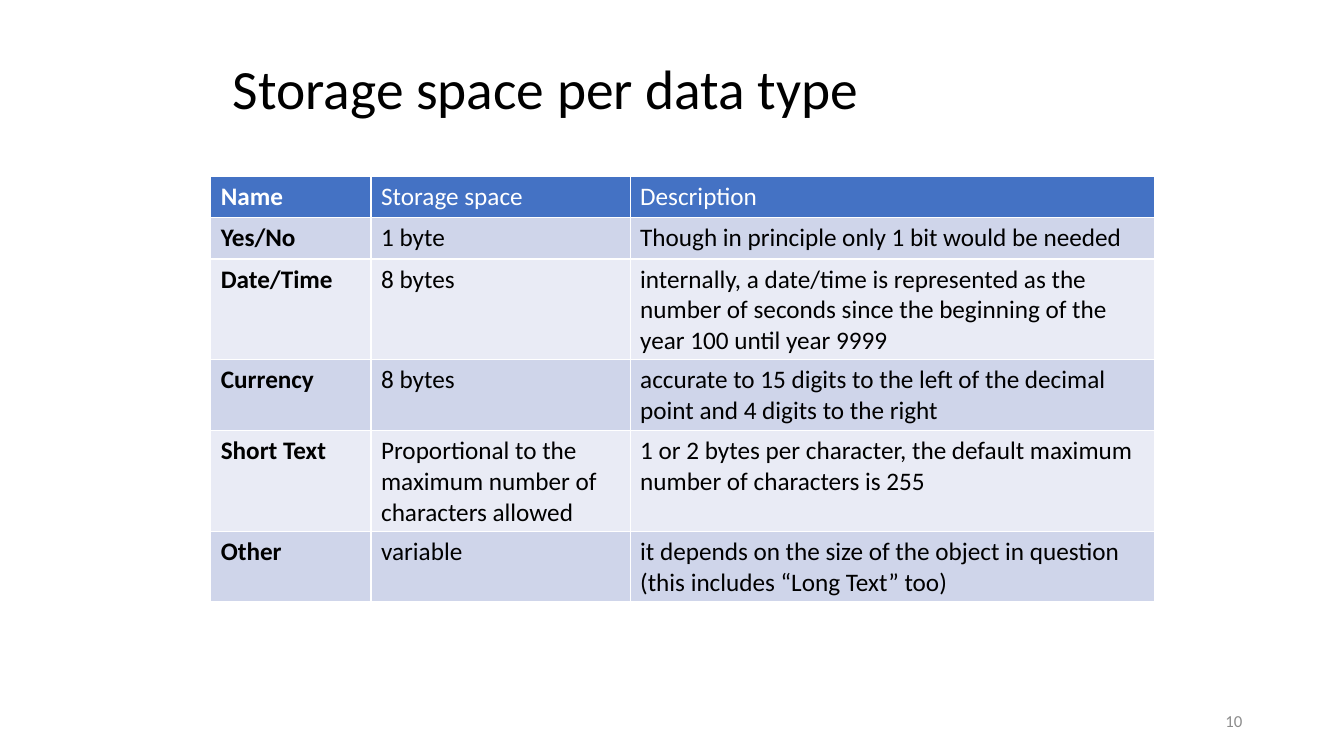
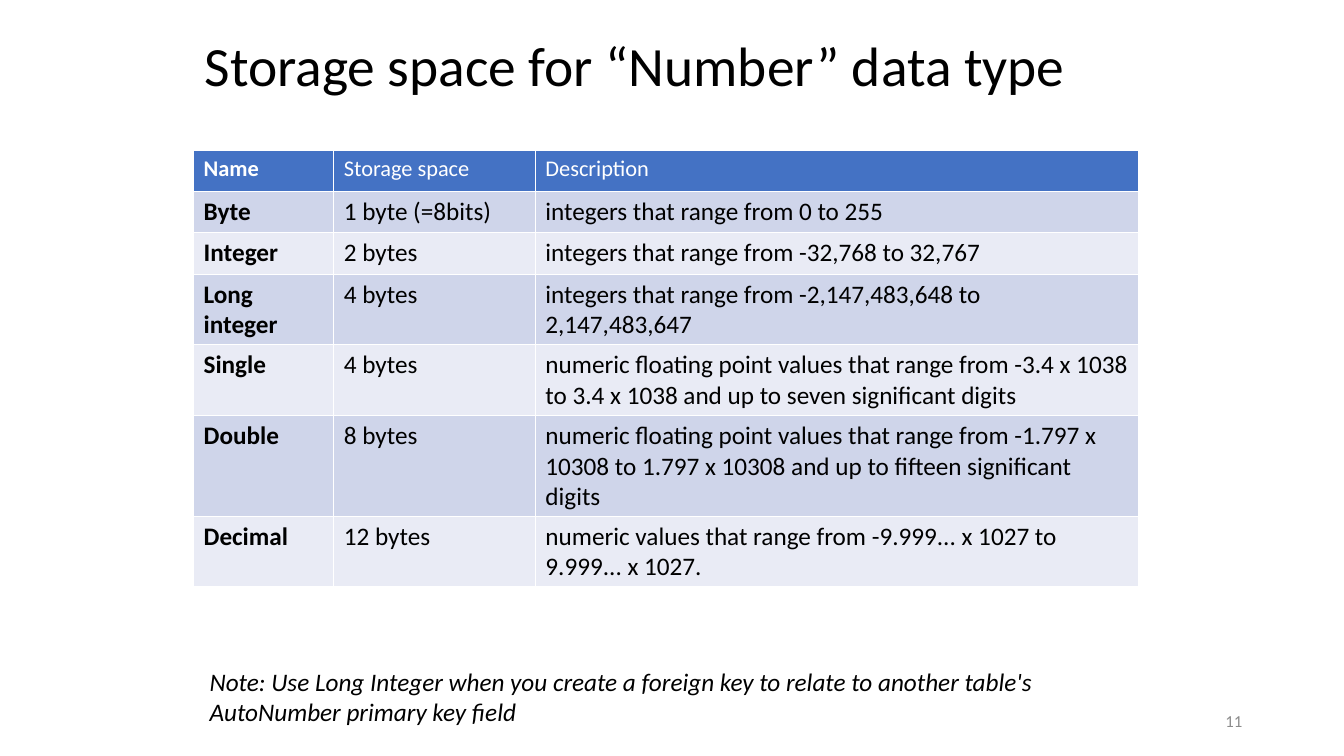
from pptx import Presentation
from pptx.dml.color import RGBColor
from pptx.enum import text
from pptx.util import Pt

PX = 9144  # EMU per px, 100 px to the inch
FONT = "Calibri"
BLACK = RGBColor(0x00, 0x00, 0x00)
WHITE = RGBColor(0xFF, 0xFF, 0xFF)
GREY = RGBColor(0x8C, 0x8C, 0x8C)
HEADER_BLUE = RGBColor(0x44, 0x72, 0xC4)
BANDS = (RGBColor(0xCF, 0xD5, 0xEA), RGBColor(0xE9, 0xEB, 0xF5))
ROW_HEIGHT = 41
HEADINGS = ("Name", "Storage space", "Description")

DATA_TYPES = [
    ("Yes/No", "1 byte", "Though in principle only 1 bit would be needed"),
    ("Date/Time", "8 bytes",
     "internally, a date/time is represented as the number of seconds "
     "since the beginning of the year 100 until year 9999"),
    ("Currency", "8 bytes",
     "accurate to 15 digits to the left of the decimal point and 4 digits to the right"),
    ("Short Text", "Proportional to the maximum number of characters allowed",
     "1 or 2 bytes per character, the default maximum number of characters is 255"),
    ("Other", "variable",
     "it depends on the size of the object in question (this includes “Long Text” too)"),
]

NUMBER_TYPES = [
    ("Byte", "1 byte (=8bits)", "integers that range from 0 to 255"),
    ("Integer", "2 bytes", "integers that range from -32,768 to 32,767"),
    ("Long integer", "4 bytes",
     "integers that range from -2,147,483,648 to 2,147,483,647"),
    ("Single", "4 bytes",
     "numeric floating point values that range from -3.4 x 1038 to 3.4 x 1038 "
     "and up to seven significant digits"),
    ("Double", "8 bytes",
     "numeric floating point values that range from -1.797 x 10308 to 1.797 x 10308 "
     "and up to fifteen significant digits"),
    ("Decimal", "12 bytes",
     "numeric values that range from -9.999... x 1027 to 9.999... x 1027."),
]

KEY_NOTE = ("Note: Use Long Integer when you create a foreign key to relate to "
            "another table's AutoNumber primary key field")


def box(*lengths):
    return [length * PX for length in lengths]


def write(frame, words, size, color, bold=False, italic=False):
    """Put one paragraph in a text frame and set its font."""
    paragraph = frame.paragraphs[0]
    paragraph.text = words
    font = paragraph.font
    font.name, font.size, font.color.rgb = FONT, Pt(size), color
    font.bold, font.italic = bold, italic
    return paragraph


def add_text(slide, words, place, size, color, italic=False):
    frame = slide.shapes.add_textbox(*box(*place)).text_frame
    frame.word_wrap = True
    write(frame, words, size, color, italic=italic)
    return frame


def add_slide(prs, heading, place, number):
    """Start a slide with its title and its number."""
    slide = prs.slides.add_slide(prs.slide_layouts.get_by_name("Title Only"))

    # Title
    title = slide.shapes.title
    title.left, title.top, title.width, title.height = box(*place)
    frame = title.text_frame
    frame.vertical_anchor = text.MSO_ANCHOR.MIDDLE
    frame.auto_size = text.MSO_AUTO_SIZE.NONE
    paragraph = write(frame, heading, 39.6, BLACK)
    paragraph.alignment = text.PP_ALIGN.LEFT
    paragraph.line_spacing = 0.9

    # Slide number
    footer = add_text(slide, str(number), (942, 695, 300, 40), 12, GREY)
    footer.vertical_anchor = text.MSO_ANCHOR.MIDDLE
    footer.paragraphs[0].alignment = text.PP_ALIGN.RIGHT
    return slide


def add_type_table(slide, left, top, widths, types, heading_size=18):
    """Table with a blue heading row, banded rows and bold names."""
    rows = [HEADINGS, *types]
    place = box(left, top, sum(widths), ROW_HEIGHT * len(rows))
    table = slide.shapes.add_table(len(rows), len(widths), *place).table
    for column, width in zip(table.columns, widths):
        column.width = width * PX
    for r, row in enumerate(rows):
        table.rows[r].height = ROW_HEIGHT * PX
        if r == 0:
            fill, color, size = HEADER_BLUE, WHITE, heading_size
        else:
            fill, color, size = BANDS[(r - 1) % 2], BLACK, 18
        for c, words in enumerate(row):
            cell = table.cell(r, c)
            cell.fill.solid()
            cell.fill.fore_color.rgb = fill
            write(cell.text_frame, words, size, color, bold=c == 0)


def main():
    prs = Presentation()
    prs.slide_width, prs.slide_height = box(1333, 750)

    # All data types
    overview = add_slide(prs, "Storage space per data type", (221, 55, 884, 72), 10)
    add_type_table(overview, 209, 175, (159, 257, 520), DATA_TYPES)

    # Kinds of number
    numbers = add_slide(prs, "Storage space for “Number” data type",
                        (193, 32, 973, 72), 11)
    add_type_table(numbers, 192, 149, (139, 200, 598), NUMBER_TYPES, heading_size=16)
    add_text(numbers, KEY_NOTE, (198, 656, 928, 71), 18, BLACK, italic=True)

    prs.save("out.pptx")


if __name__ == "__main__":
    main()
